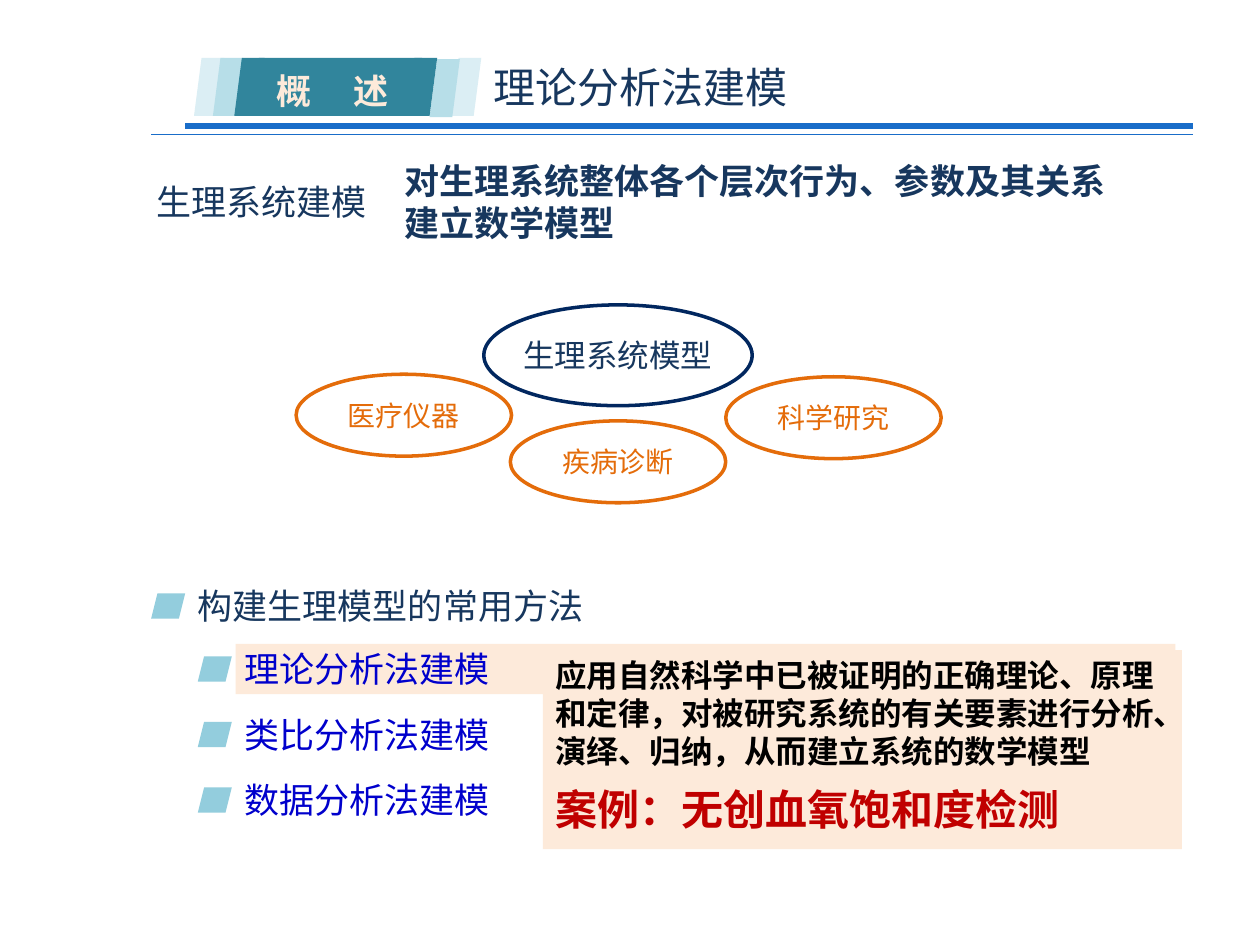
from lxml.etree import SubElement
from pptx import Presentation
from pptx.dml.color import RGBColor
from pptx.enum.shapes import MSO_CONNECTOR as CONNECTOR, MSO_SHAPE as SHAPE
from pptx.enum.text import MSO_ANCHOR as ANCHOR, PP_ALIGN as ALIGN
from pptx.oxml.ns import qn
from pptx.util import Inches, Pt

THEME = {
    "body": "Roboto", "strong": "Noto Sans CJK SC",
    "navy": "17375E", "outline": "01275F", "orange": "E46C0A", "link": "0000CC",
    "rule": "196DC9", "teal": "31859C", "sky": "B7DEE8", "mist": "DBEEF4",
    "bullet": "93CDDD", "peach": "FDEADA", "white": "FFFFFF", "black": "000000", "red": "C00000",
    "title": 24, "text": 20, "detail": 18, "small": 16, "leading": 1.2,
}

BANNER = [
    (1.54, 0.46, 0.24, "mist"), (3.58, 0.46, 0.24, "mist"),
    (1.69, 0.46, 0.24, "sky"), (3.41, 0.47, 0.24, "sky"),
    (1.86, 0.46, 0.24, "teal"), (3.23, 0.46, 0.24, "teal"), (1.94, 0.46, 1.41, "teal"),
]
RULES = [(1.47, 1, 3), (1.2, 1.07, 0.75)]
RULE_END = 9.47
LABELS = [
    ("理论分析法建模", (3.82, 0.44, 5.65, 0.5), "title", "body"),
    ("生理系统建模", (1.14, 1.38, 2.25, 0.44), "text", "body"),
    ("对生理系统整体各个层次行为、参数及其关系建立数学模型", (3.11, 1.22, 5.94, 0.77), "text", "strong"),
]
MODEL = ("生理系统模型", (3.84, 2.42, 2.13, 0.8), "detail", "navy", "outline")
USES = [("医疗仪器", 2.35, 2.97), ("疾病诊断", 4.05, 3.34), ("科学研究", 5.76, 2.99)]
USE_SIZE = (1.71, 0.65)
HEADING = "构建生理模型的常用方法"
METHODS = ["理论分析法建模", "类比分析法建模", "数据分析法建模"]
METHOD_TOP, METHOD_STEP = 5.09, 0.52
DETAIL = [
    ("应用自然科学中已被证明的正确理论、原理和定律，对被研究系统的有关要素进行分析、演绎、归纳，从而建立系统的数学模型",
     "detail", "black"),
    ("案例：无创血氧饱和度检测", "title", "red"),
]


def color(name):
    return RGBColor.from_string(THEME[name])


def add_block(shapes, kind, box, fill, line=None):
    shape = shapes.add_shape(kind, *map(Inches, box))
    shape.shadow.inherit = False
    shape.fill.solid()
    shape.fill.fore_color.rgb = color(fill)
    if line:
        shape.line.color.rgb = color(line)
        shape.line.width = Pt(2)
    else:
        shape.line.fill.background()
    return shape


def style(paragraph, size, ink, font="body", bold=False, align=ALIGN.LEFT):
    paragraph.alignment = align
    paragraph.line_spacing = Pt(THEME[size] * THEME["leading"])
    for run in paragraph.runs:
        run.font.name = THEME[font]
        run.font.size = Pt(THEME[size])
        run.font.bold = bold
        run.font.color.rgb = color(ink)
        SubElement(run.font._element, qn("a:ea"), typeface=THEME["strong"])


def add_text(shapes, text, box, size, ink, font="body", bold=False, align=ALIGN.LEFT):
    shape = shapes.add_textbox(*map(Inches, box))
    shape.text_frame.word_wrap = True
    shape.text_frame.text = text
    paragraph = shape.text_frame.paragraphs[0]
    style(paragraph, size, ink, font, bold, align)
    return paragraph


def add_oval(slide, text, box, size, ink, line):
    shapes = slide.shapes.add_group_shape().shapes
    left, top, width, height = box
    add_block(shapes, SHAPE.OVAL, box, "white", line)
    text_height = 0.1 + THEME[size] * THEME["leading"] / 72
    text_box = (left + width / 12, top + (height - text_height) / 2, width * 5 / 6, text_height)
    add_text(shapes, text, text_box, size, ink, align=ALIGN.CENTER)


def add_bullet(slide, text, left, top, ink):
    add_block(slide.shapes, SHAPE.PARALLELOGRAM, (left, top + 0.12, 0.27, 0.2), "bullet")
    add_text(slide.shapes, text, (left + 0.27, top, 3.92, 0.44), "text", ink)


def add_rule(slide, left, top, weight):
    line = slide.shapes.add_connector(
        CONNECTOR.STRAIGHT, Inches(left), Inches(top), Inches(RULE_END), Inches(top))
    line.line.color.rgb = color("rule")
    line.line.width = Pt(weight)
    SubElement(line._element.spPr, qn("a:effectLst"))


def add_banner(slide):
    shapes = slide.shapes.add_group_shape().shapes
    for left, top, width, fill in BANNER:
        add_block(shapes, SHAPE.PARALLELOGRAM, (left, top, width, 0.46), fill)
    paragraph = add_text(shapes, "概\t述", (2.1, 0.5, 1.2, 0.44), "text", "peach", bold=True)
    tabs = SubElement(paragraph._p.get_or_add_pPr(), qn("a:tabLst"))
    SubElement(tabs, qn("a:tab"), pos=str(Inches(0.61)), algn="l")


def add_detail(slide):
    frame = add_block(slide.shapes, SHAPE.RECTANGLE, (4.31, 5.16, 5.07, 1.58), "peach").text_frame
    frame.word_wrap = True
    frame.vertical_anchor = ANCHOR.TOP
    frame.text = "\n".join(text for text, _, _ in DETAIL)
    for paragraph, (_, size, ink) in zip(frame.paragraphs, DETAIL):
        style(paragraph, size, ink, "strong", True)
    frame.paragraphs[-1].space_before = Pt(8)


def main():
    """Build the slide on modelling physiological systems by theoretical analysis."""
    presentation = Presentation()
    presentation.slide_width, presentation.slide_height = Inches(10), Inches(7.5)
    slide = presentation.slides.add_slide(presentation.slide_layouts[6])
    add_block(slide.shapes, SHAPE.RECTANGLE, (1.87, 5.11, 7.46, 0.4), "peach")
    add_oval(slide, *MODEL)
    for rule in RULES:
        add_rule(slide, *rule)
    add_banner(slide)
    for text, box, size, font in LABELS:
        add_text(slide.shapes, text, box, size, "navy", font, font == "strong")
    for text, left, top in USES:
        add_oval(slide, text, (left, top, *USE_SIZE), "small", "orange", "orange")
    add_bullet(slide, HEADING, 1.2, 4.59, "navy")
    for index, method in enumerate(METHODS):
        add_bullet(slide, method, 1.57, METHOD_TOP + index * METHOD_STEP, "link")
    add_detail(slide)
    presentation.save("out.pptx")


if __name__ == "__main__":
    main()
